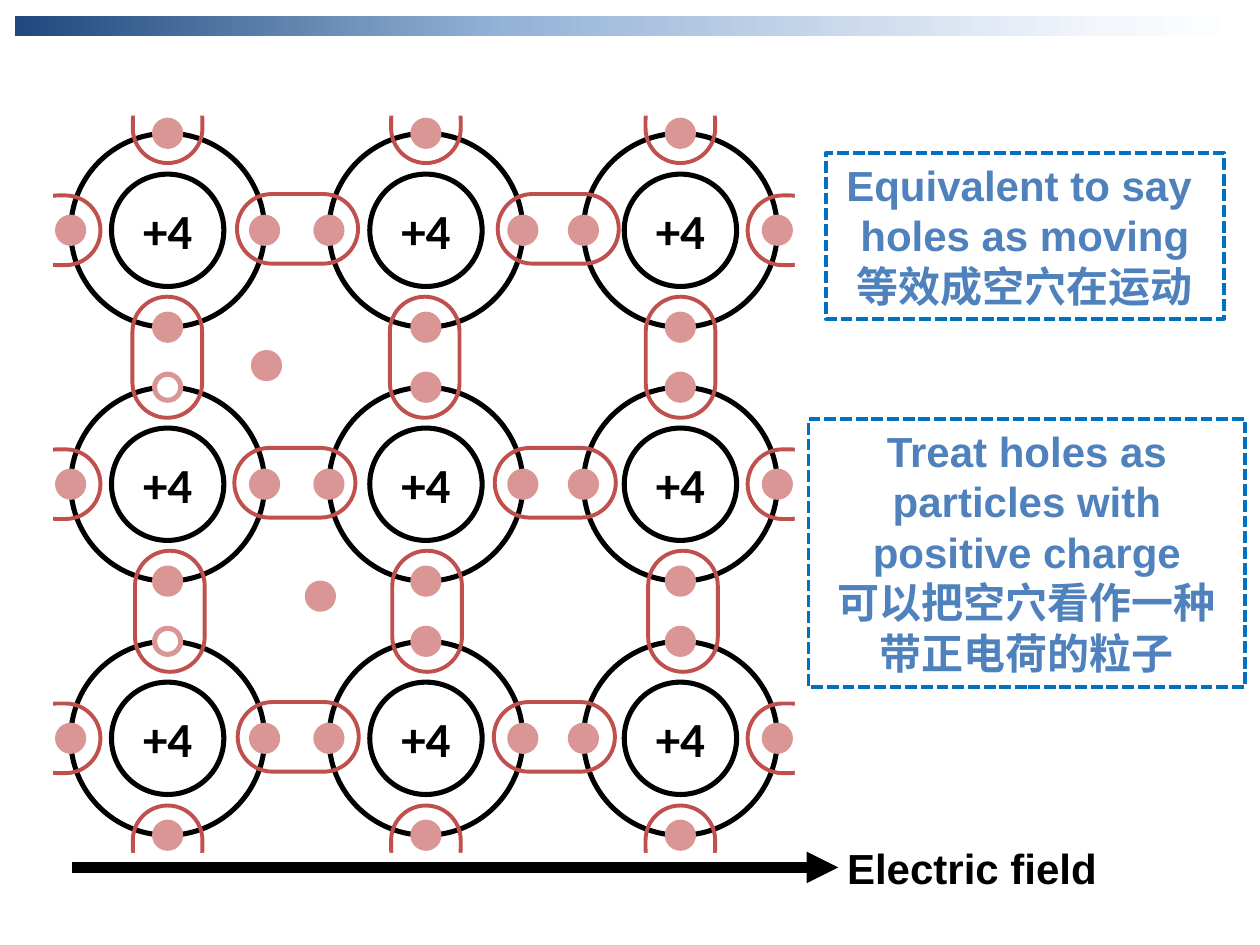
from itertools import product

from lxml.etree import SubElement
from pptx import Presentation
from pptx.dml.color import RGBColor
from pptx.enum.dml import MSO_LINE_DASH_STYLE as Dash
from pptx.enum.shapes import MSO_CONNECTOR_TYPE as Connector, MSO_SHAPE as Preset
from pptx.enum.text import MSO_ANCHOR as Anchor, MSO_AUTO_SIZE as AutoSize, PP_ALIGN as Align
from pptx.oxml.ns import qn
from pptx.util import Pt

COLORS = {"ink": "000000", "paper": "FFFFFF", "electron": "D99694",
          "bond": "C0504D", "frame": "0070C0", "note": "4F81BD"}
BAR_STOPS = [(0, "1F497D"), (40, "95B3D7"), (89, "F4F7FC"), (100, "FFFFFF")]

# Lattice geometry in points: atom centres, then sizes
COLUMNS = [95.8, 243.4, 388.8]
ROWS = [131.6, 276.7, 421.9]
RING, CORE, ELECTRON = 110.8, 64.2, 14.9
BOND_LENGTH, BOND_WIDTH, END_LENGTH = 69.2, 39.8, 44.6
END_OFFSET, MASK_OFFSET, MASK_DEPTH, MASK_WIDTH = 60.7, 80.5, 30, 46
BONDS_ACROSS = [(170, 319), (168.5, 317.3), (170.4, 316.8)]
BONDS_DOWN = [(95.6, 242.7, 388.9), (97.1, 244.1, 390.3)]
HOLES = {(1, 0), (2, 0)}  # (row, column) of atoms missing their upper electron
FREE_ELECTRONS = [(152.3, 208.9), (183.1, 340.7)]


def color(name):
    return RGBColor.from_string(COLORS[name])


def add_shape(slide, preset, box, fill=None, line=None, weight=2.88):
    shape = slide.shapes.add_shape(preset, *(Pt(value) for value in box))
    shape.shadow.inherit = False
    if fill:
        shape.fill.solid()
        shape.fill.fore_color.rgb = color(fill)
    else:
        shape.fill.background()
    if line:
        shape.line.color.rgb = color(line)
        shape.line.width = Pt(weight)
    else:
        shape.line.fill.background()
    return shape


def add_centred(slide, preset, x, y, width, height, **style):
    return add_shape(slide, preset, (x - width / 2, y - height / 2, width, height), **style)


def set_text(shape, lines, font, frame):
    text_frame = shape.text_frame
    for name, value in frame.items():
        setattr(text_frame, name, value)
    for index, line in enumerate(lines):
        paragraph = text_frame.add_paragraph() if index else text_frame.paragraphs[0]
        paragraph.text = line
        paragraph.alignment = Align.CENTER
        for run in paragraph.runs:
            for name, value in font.items():
                if name == "color":
                    run.font.color.rgb = color(value)
                else:
                    setattr(run.font, name, value)


def add_electron(slide, x, y, fill="electron"):
    add_centred(slide, Preset.OVAL, x, y, ELECTRON, ELECTRON, fill=fill, line="electron")


def add_bond(slide, x, y, width, height):
    bond = add_centred(slide, Preset.ROUNDED_RECTANGLE, x, y, width, height,
                       line="bond", weight=2.25)
    bond.adjustments[0] = 0.5


def add_atom(slide, x, y, has_hole):
    add_centred(slide, Preset.OVAL, x, y, RING, RING, line="ink")
    core = add_centred(slide, Preset.OVAL, x, y, CORE, CORE, line="ink")
    set_text(core, ["+4"], {"name": "Calibri", "size": Pt(28), "bold": True, "color": "ink"},
             {"word_wrap": False, "vertical_anchor": Anchor.MIDDLE})
    radius = RING / 2
    for dx, dy in [(-1, 0), (1, 0), (0, 1)]:
        add_electron(slide, x + dx * radius, y + dy * radius)
    add_electron(slide, x, y - radius, "paper" if has_hole else "electron")


def add_open_end(slide, x, y, dx, dy):
    """Half a bond leaving the lattice in direction (dx, dy)."""
    def turned(length, width):
        return (length, width) if dx else (width, length)

    add_bond(slide, x + dx * END_OFFSET, y + dy * END_OFFSET, *turned(END_LENGTH, BOND_WIDTH))
    add_centred(slide, Preset.RECTANGLE, x + dx * MASK_OFFSET, y + dy * MASK_OFFSET,
                *turned(MASK_DEPTH, MASK_WIDTH), fill="paper")


def add_lattice(slide):
    for (row, y), (column, x) in product(enumerate(ROWS), enumerate(COLUMNS)):
        add_atom(slide, x, y, (row, column) in HOLES)
    # Bonds between neighbours
    for y, centres in zip(ROWS, BONDS_ACROSS):
        for x in centres:
            add_bond(slide, x, y - 0.8, BOND_LENGTH, BOND_WIDTH)
    for above, below, centres in zip(ROWS, ROWS[1:], BONDS_DOWN):
        for x in centres:
            add_bond(slide, x, (above + below) / 2, BOND_WIDTH, BOND_LENGTH)
    # Open bonds round the edge
    for y in ROWS:
        add_open_end(slide, COLUMNS[0], y, -1, 0)
        add_open_end(slide, COLUMNS[-1], y, 1, 0)
    for x in COLUMNS:
        add_open_end(slide, x, ROWS[0], 0, -1)
        add_open_end(slide, x, ROWS[-1], 0, 1)
    for x, y in FREE_ELECTRONS:
        add_electron(slide, x, y)


def add_header_bar(slide, box):
    bar = add_shape(slide, Preset.RECTANGLE, box)
    bar.fill.gradient()
    bar.fill.gradient_angle = 0
    stops = bar._element.spPr.find(qn("a:gradFill")).find(qn("a:gsLst"))
    stops.clear()
    for position, value in BAR_STOPS:
        stop = SubElement(stops, qn("a:gs"), pos=str(position * 1000))
        SubElement(stop, qn("a:srgbClr"), val=value)


def add_field_arrow(slide, box):
    left, top, width, height = box
    middle = Pt(top + height / 2)
    arrow = slide.shapes.add_connector(Connector.STRAIGHT, Pt(left), middle,
                                       Pt(left + 437.8), middle)
    arrow.line.color.rgb = color("ink")
    arrow.line.width = Pt(6)
    SubElement(arrow.line._get_or_add_ln(), qn("a:tailEnd"), type="triangle")
    SubElement(arrow._element.spPr, qn("a:effectLst"))
    label = slide.shapes.add_textbox(Pt(left + width - 234), Pt(top), Pt(234), Pt(height))
    set_text(label, ["Electric field"],
             {"name": "Arial", "size": Pt(24), "bold": True, "color": "ink"},
             {"word_wrap": True})


def add_note(slide, box, lines):
    note = add_shape(slide, Preset.RECTANGLE, box, line="frame", weight=2.25)
    note.line.dash_style = Dash.SQUARE_DOT
    set_text(note, lines, {"name": "Arial", "size": Pt(24), "bold": True, "color": "note"},
             {"word_wrap": True, "vertical_anchor": Anchor.TOP,
              "auto_size": AutoSize.SHAPE_TO_FIT_TEXT})


def main():
    presentation = Presentation()
    presentation.slide_width, presentation.slide_height = Pt(720), Pt(540)
    slide = presentation.slides.add_slide(presentation.slide_layouts[6])
    add_lattice(slide)
    add_header_bar(slide, (8.6, 9.2, 702.8, 11.4))
    add_field_arrow(slide, (41.2, 477.7, 631.2, 36))
    add_note(slide, (471.8, 87.6, 227.8, 94.5),
             ["Equivalent to say \vholes as moving", "等效成空穴在运动"])
    add_note(slide, (462, 239.6, 249.6, 152.8),
             ["Treat holes as particles with positive charge", "可以把空穴看作一种带正电荷的粒子"])
    presentation.save("out.pptx")


if __name__ == "__main__":
    main()
